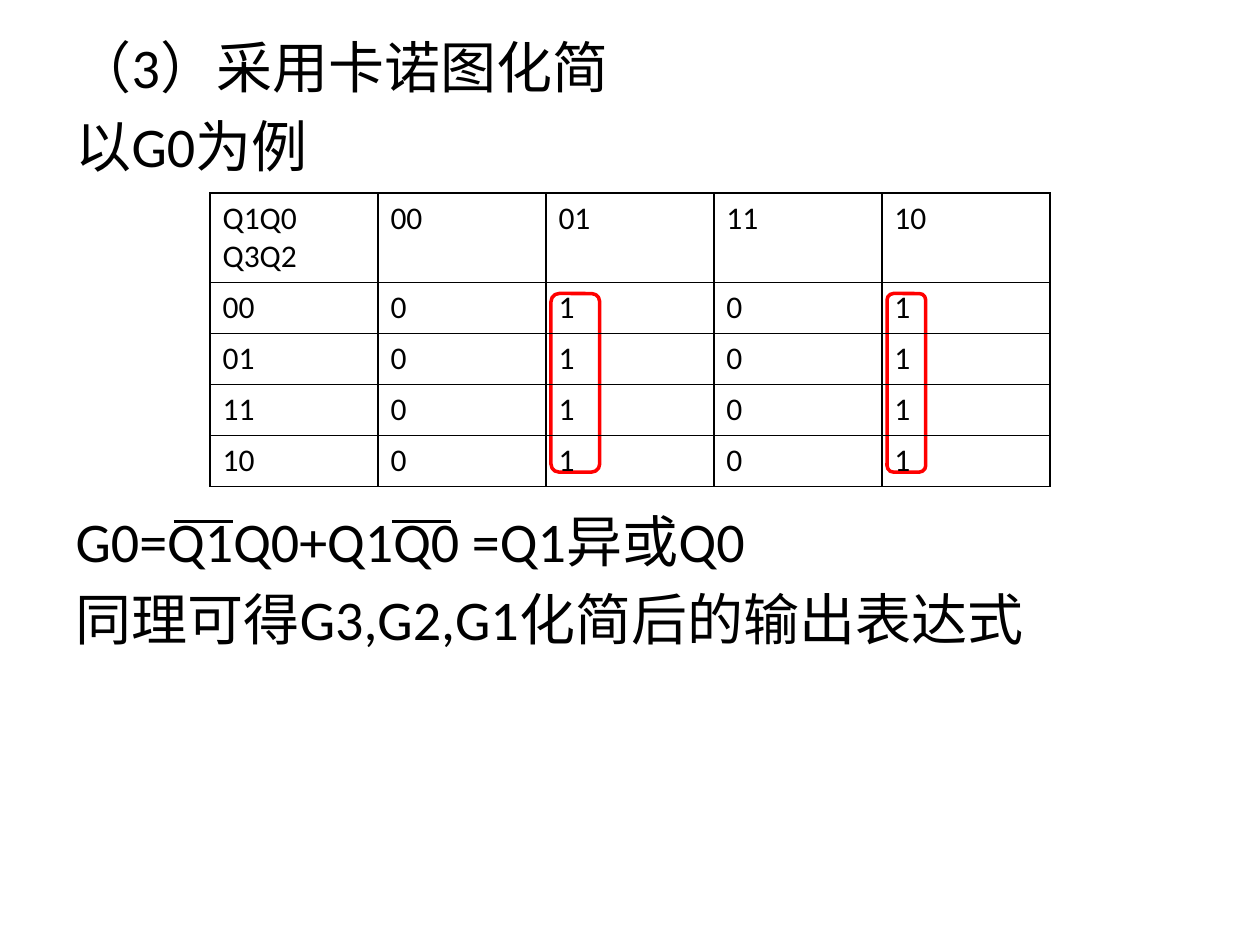
"""Build the Karnaugh map slide that simplifies output G0."""
from typing import NamedTuple

from lxml import etree
from pptx import Presentation
from pptx.dml.color import RGBColor
from pptx.enum.shapes import MSO_CONNECTOR, MSO_SHAPE
from pptx.enum.text import MSO_AUTO_SIZE
from pptx.oxml.ns import qn
from pptx.util import Inches, Pt

ROUNDED = MSO_SHAPE.ROUNDED_RECTANGLE
STRAIGHT = MSO_CONNECTOR.STRAIGHT
NO_AUTOFIT = MSO_AUTO_SIZE.NONE

BLACK = RGBColor(0x00, 0x00, 0x00)
WHITE = RGBColor(0xFF, 0xFF, 0xFF)
RED = RGBColor(0xFF, 0x00, 0x00)
FONT = "Calibri"

WIDTH, HEIGHT = Inches(10), Inches(7.5)
MAP_LEFT, MAP_TOP = WIDTH / 6, Inches(1.53)
COLUMN = WIDTH * 2 / 15
HEADER_ROW, VALUE_ROW = Inches(0.71), Inches(0.405)
BORDER = Pt(1)

GRAY_CODES = ["00", "01", "11", "10"]
G0_VALUES = ["0", "1", "0", "1"]
KARNAUGH_MAP = [["Q1Q0\nQ3Q2", *GRAY_CODES]] + [[code, *G0_VALUES] for code in GRAY_CODES]


class Line(NamedTuple):
    """A line of the explanation and the points of space before it."""
    text: str
    space_before: float


class Group(NamedTuple):
    """A ring round a column of ones, in map columns."""
    column: float
    span: float


class Overbar(NamedTuple):
    """A negation bar, in shares of the slide width."""
    start: float
    end: float


EXPLANATION = [
    Line("（3）采用卡诺图化简", 0),
    Line("以G0为例", 6.4),
    Line("G0=Q1Q0+Q1Q0 =Q1异或Q0", 187.5),
    Line("同理可得G3,G2,G1化简后的输出表达式", 6.4),
]
GROUPS = [Group(4.03, 0.23), Group(2.03, 0.29)]
OVERBARS = [Overbar(0.138, 0.185), Overbar(0.311, 0.358)]
OVERBAR_TOP = 0.552


def style_font(font, size: float) -> None:
    """Apply the slide's typeface and text colour."""
    font.name = FONT
    font.size = Pt(size)
    font.color.rgb = BLACK


def write_explanation(body) -> None:
    """Place the body and write its lines without bullets."""
    body.left, body.top = Inches(0.5), Inches(0.21)
    body.width, body.height = Inches(9), Inches(6.49)
    frame = body.text_frame
    frame.text = "\n".join(line.text for line in EXPLANATION)
    frame.word_wrap = True
    frame.auto_size = NO_AUTOFIT
    for paragraph, line in zip(frame.paragraphs, EXPLANATION):
        paragraph.space_before = Pt(line.space_before)
        properties = paragraph._p.get_or_add_pPr()
        properties.set("marL", "0")
        properties.set("indent", "0")
        etree.SubElement(properties, qn("a:buNone"))
        for run in paragraph.runs:
            style_font(run.font, 32)


def draw_group(shapes, group: Group) -> None:
    """Ring the four ones of a map column."""
    ring = shapes.add_shape(
        ROUNDED, int(MAP_LEFT + group.column * COLUMN), Inches(2.33),
        int(group.span * COLUMN), int(3.5 * VALUE_ROW))
    ring.shadow.inherit = False
    ring.fill.solid()
    ring.fill.fore_color.rgb = WHITE
    ring.line.color.rgb = RED
    ring.line.width = Pt(2)


def border_cell(cell) -> None:
    """Give a cell black borders on all sides."""
    properties = cell._tc.get_or_add_tcPr()
    for index, side in enumerate(("a:lnL", "a:lnR", "a:lnT", "a:lnB")):
        edge = etree.Element(qn(side), w=str(BORDER))
        fill = etree.SubElement(edge, qn("a:solidFill"))
        etree.SubElement(fill, qn("a:srgbClr"), val=str(BLACK))
        properties.insert(index, edge)


def draw_map(shapes) -> None:
    """Draw the Karnaugh map as a clear table."""
    rows, columns = len(KARNAUGH_MAP), len(KARNAUGH_MAP[0])
    table = shapes.add_table(
        rows, columns, int(MAP_LEFT), MAP_TOP, int(columns * COLUMN),
        int(HEADER_ROW + (rows - 1) * VALUE_ROW)).table
    table.first_row = table.horz_banding = False
    for column in table.columns:
        column.width = int(COLUMN)
    for index, (row, values) in enumerate(zip(table.rows, KARNAUGH_MAP)):
        row.height = VALUE_ROW if index else HEADER_ROW
        for cell, value in zip(row.cells, values):
            cell.text_frame.text = value
            cell.fill.background()
            border_cell(cell)
            for paragraph in cell.text_frame.paragraphs:
                for run in paragraph.runs:
                    style_font(run.font, 18)


def draw_overbar(shapes, bar: Overbar) -> None:
    """Draw a negation bar above a variable."""
    top = int(OVERBAR_TOP * HEIGHT)
    line = shapes.add_connector(
        STRAIGHT, int(bar.start * WIDTH), top, int(bar.end * WIDTH), top)
    line.line.color.rgb = BLACK
    line.line.width = Pt(1.5)
    etree.SubElement(line._element.spPr, qn("a:effectLst"))


def main() -> None:
    """Assemble and save the slide."""
    deck = Presentation()
    deck.slide_width, deck.slide_height = WIDTH, HEIGHT
    slide = deck.slides.add_slide(deck.slide_layouts[1])
    shapes = slide.shapes
    unused_title = shapes.title._element
    unused_title.getparent().remove(unused_title)
    write_explanation(slide.placeholders[1])
    for group in GROUPS:
        draw_group(shapes, group)
    draw_map(shapes)
    for bar in OVERBARS:
        draw_overbar(shapes, bar)
    deck.save("out.pptx")


if __name__ == "__main__":
    main()
